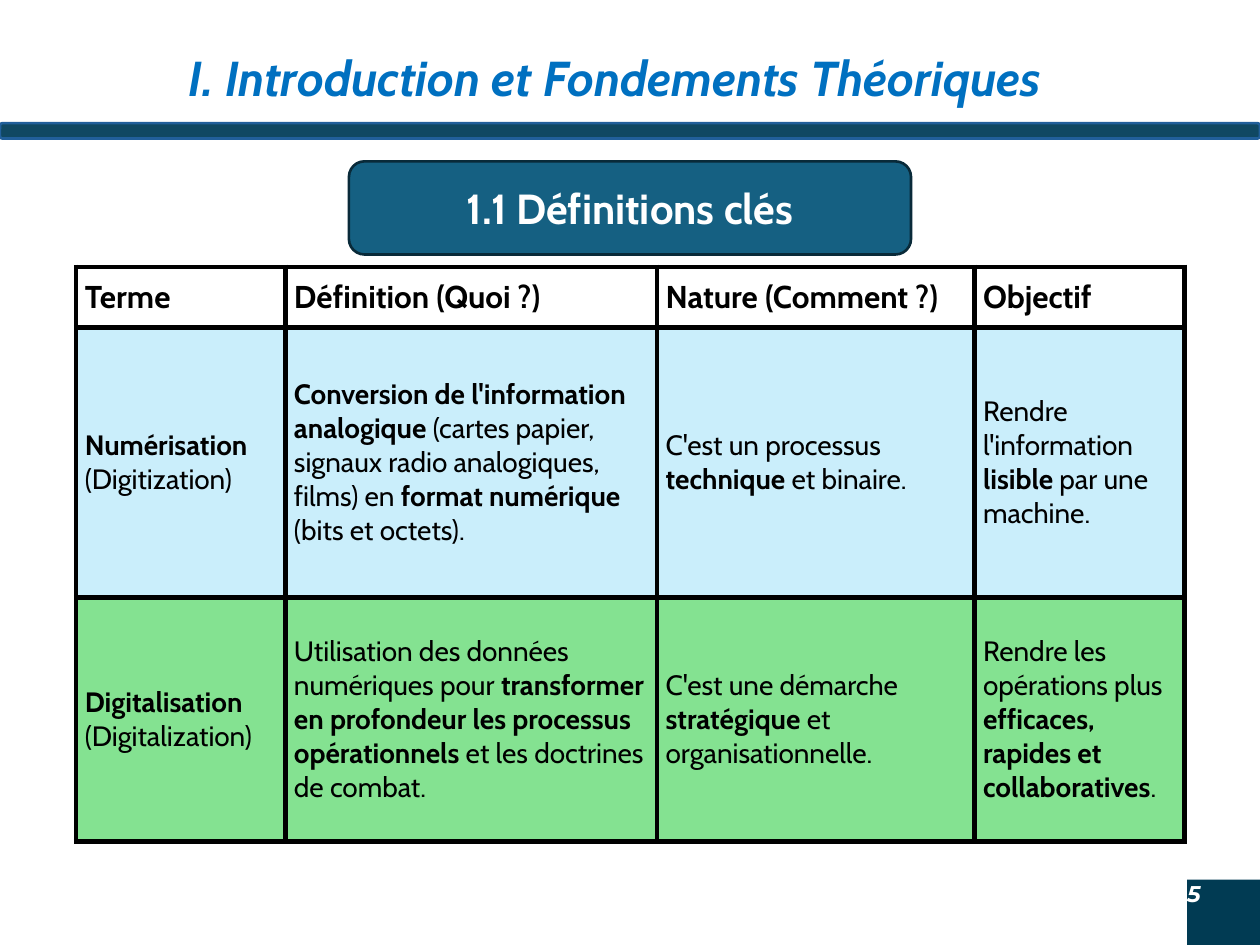
from lxml import etree
from pptx import Presentation
from pptx import util as u
from pptx.dml import color
from pptx.enum import shapes, text
from pptx.oxml import ns

COLORS = {
    "title": "0070C0", "bar": "104862", "bar_line": "215F9A",
    "corner": "013B53", "heading": "156082", "heading_line": "092A39",
    "white": "FFFFFF", "black": "000000", "blue_row": "CAEEFB", "green_row": "84E291",
}
COLUMN_WIDTHS = (119.5, 212.4, 181.4, 120.2)
ROW_HEIGHTS = (34.6, 154.1, 139.7)
ROW_FILLS = ("white", "blue_row", "green_row")
ROW_SIZES = (18, 16, 16)
DEFINITIONS = (
    ("*Terme*", "*Définition (Quoi ?)*", "*Nature (Comment ?)*", "*Objectif*"),
    ("*Numérisation* (Digitization)",
     "*Conversion de l'information analogique* (cartes papier, signaux radio analogiques, "
     "films) en *format numérique* (bits et octets).",
     "C'est un processus *technique* et binaire.",
     "Rendre l'information *lisible* par une machine."),
    ("*Digitalisation* (Digitalization)",
     "Utilisation des données numériques pour *transformer en profondeur les processus "
     "opérationnels* et les doctrines de combat.",
     "C'est une démarche *stratégique* et organisationnelle.",
     "Rendre les opérations plus *efficaces, rapides et collaboratives*."),
)


def rgb(name):
    """Return the named colour."""
    return color.RGBColor.from_string(COLORS[name])


def set_font(para, size, tint, face="Cabin", bold=None, italic=None):
    """Set the font of a whole paragraph."""
    font = para.font
    font.name, font.size, font.bold, font.italic = face, u.Pt(size), bold, italic
    font.color.rgb = rgb(tint)


def add_block(page, kind, place, fill, line=None):
    """Add a filled preset shape, outlined if a line colour is given."""
    block = page.shapes.add_shape(kind, *map(u.Pt, place))
    block.shadow.inherit = False
    block.fill.solid()
    block.fill.fore_color.rgb = rgb(fill)
    if line:
        block.line.color.rgb = rgb(line)
        block.line.width = u.Pt(1.5)
    else:
        block.line.fill.background()
    return block


def add_title(page, words):
    """Add the centred slide title."""
    box = page.shapes.add_textbox(*map(u.Pt, (59, 23.8, 591, 41)))
    box.text_frame.word_wrap = True
    para = box.text_frame.paragraphs[0]
    para.text = words
    para.alignment = text.PP_ALIGN.CENTER
    set_font(para, 28, "title", bold=True, italic=True)


def add_heading(page, words):
    """Add the rounded section heading."""
    block = add_block(page, shapes.MSO_SHAPE.ROUNDED_RECTANGLE, (199.4, 92.2, 321.2, 53.2),
                      "heading", "heading_line")
    para = block.text_frame.paragraphs[0]
    para.text = words
    set_font(para, 24, "white", bold=True)


def add_page_number(page, number):
    """Add the corner block with the page number."""
    block = add_block(page, shapes.MSO_SHAPE.RECTANGLE, (678.4, 502.6, 41.6, 37.4), "corner")
    frame = block.text_frame
    frame.margin_left = frame.margin_top = frame.margin_right = frame.margin_bottom = 0
    frame.word_wrap = False
    frame.vertical_anchor = text.MSO_ANCHOR.TOP
    para = frame.paragraphs[0]
    para.text = number
    para.alignment = text.PP_ALIGN.LEFT
    set_font(para, 13, "white", "Montserrat", True, True)


def add_borders(cell, width):
    """Draw a solid black border on each side of a cell."""
    properties = cell._tc.get_or_add_tcPr()
    for index, side in enumerate(("lnL", "lnR", "lnT", "lnB")):
        border = etree.Element(ns.qn(f"a:{side}"), w=str(u.Pt(width)))
        fill = etree.SubElement(border, ns.qn("a:solidFill"))
        etree.SubElement(fill, ns.qn("a:srgbClr"), val=COLORS["black"])
        properties.insert(index, border)


def fill_cell(cell, words, size, fill):
    """Write a cell, with the words between asterisks in bold."""
    cell.fill.solid()
    cell.fill.fore_color.rgb = rgb(fill)
    cell.vertical_anchor = text.MSO_ANCHOR.MIDDLE
    cell.margin_left = cell.margin_right = u.Pt(5)
    cell.margin_top = cell.margin_bottom = u.Pt(2.5)
    add_borders(cell, 3)
    para = cell.text_frame.paragraphs[0]
    set_font(para, size, "black")
    for index, part in enumerate(words.split("*")):
        if part:
            span = para.add_run()
            span.text = part
            span.font.bold = index % 2 == 1


def add_definitions(page):
    """Add the table of definitions."""
    place = (43.5, 152.6, sum(COLUMN_WIDTHS), sum(ROW_HEIGHTS))
    table = page.shapes.add_table(len(ROW_HEIGHTS), len(COLUMN_WIDTHS), *map(u.Pt, place)).table
    for column, width in zip(table.columns, COLUMN_WIDTHS):
        column.width = u.Pt(width)
    for row, height, entries, size, fill in zip(
            table.rows, ROW_HEIGHTS, DEFINITIONS, ROW_SIZES, ROW_FILLS):
        row.height = u.Pt(height)
        for cell, words in zip(row.cells, entries):
            fill_cell(cell, words, size, fill)


def main():
    """Build the slide and save the deck."""
    deck = Presentation()
    deck.slide_width, deck.slide_height = u.Pt(720), u.Pt(540)
    page = deck.slides.add_slide(deck.slide_layouts[6])
    add_block(page, shapes.MSO_SHAPE.ROUNDED_RECTANGLE, (0, 70.4, 720, 8.8), "bar", "bar_line")
    add_title(page, "I. Introduction et Fondements Théoriques ")
    add_page_number(page, "5")
    add_heading(page, "1.1 Définitions clés")
    add_definitions(page)
    deck.save("out.pptx")


if __name__ == "__main__":
    main()
